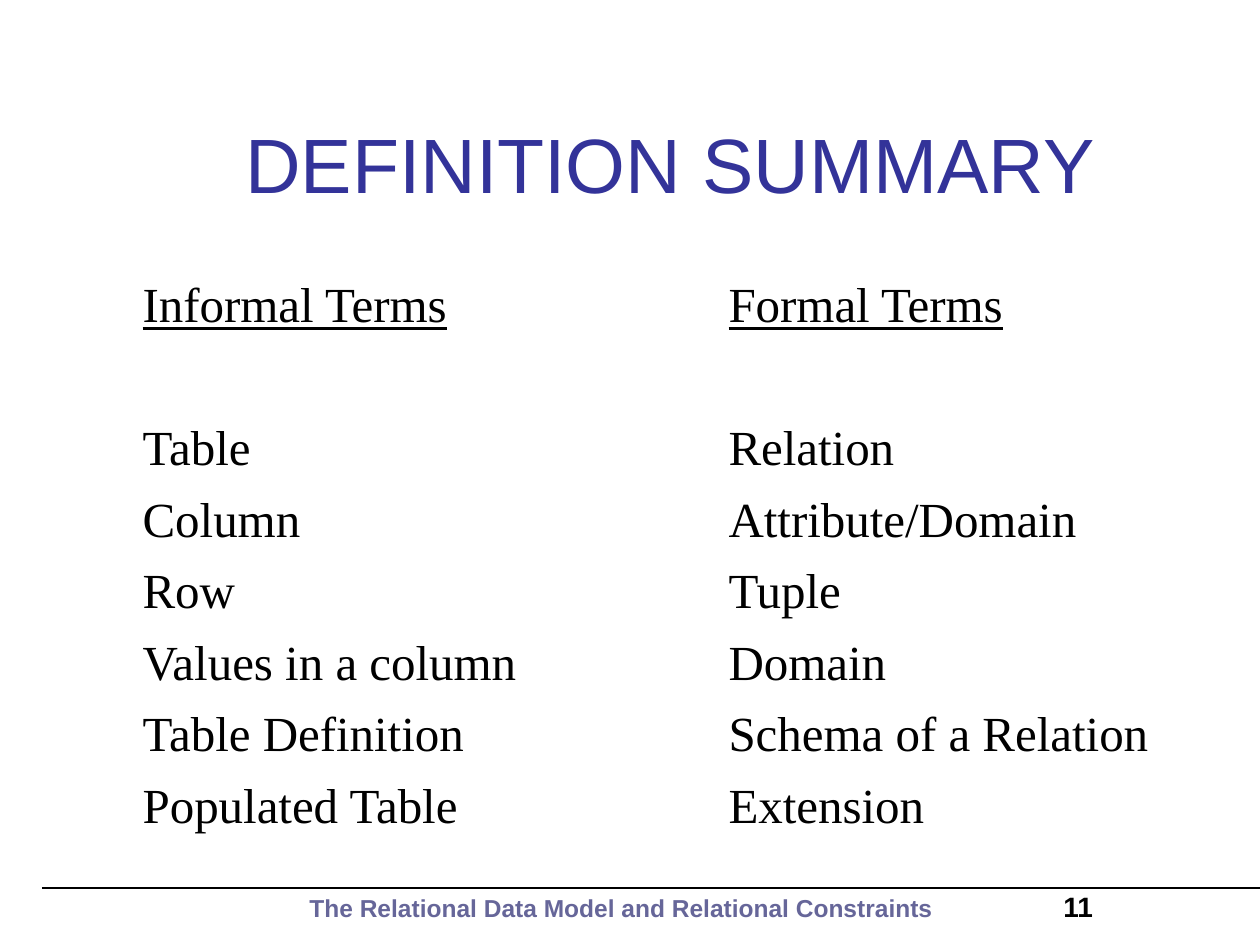
from lxml import etree
from pptx import Presentation
from pptx.dml.color import RGBColor
from pptx.enum.shapes import MSO_CONNECTOR
from pptx.enum.text import MSO_ANCHOR as Anchor, PP_ALIGN as Align
from pptx.oxml.ns import qn
from pptx.util import Pt

EMU_PER_PX = 914400 // 126
SANS, SERIF = "Arial", "Times New Roman"
BLACK, WHITE, INDIGO, SLATE = "000000", "FFFFFF", "333399", "666699"

TERMS = [
    ("Informal Terms", "", "Formal Terms"),
    ("", "", ""),
    ("Table", "", "Relation"),
    ("Column", "", "Attribute/Domain"),
    ("Row", "", "Tuple"),
    ("Values in a column", "", "Domain"),
    ("Table Definition", "", "Schema of a Relation"),
    ("Populated Table", "", "Extension"),
]
COLUMN_WIDTHS = [442, 144, 450]


def px(value):
    return value * EMU_PER_PX


def color(hex_string):
    return RGBColor.from_string(hex_string)


def add_run(paragraph, text, size, font, hex_color, bold=False, underline=False):
    run = paragraph.add_run()
    run.text = text
    run.font.size = Pt(size)
    run.font.name = font
    run.font.bold = bold
    run.font.underline = underline
    run.font.color.rgb = color(hex_color)


def add_text_box(slide, left, top, width, height, anchor):
    box = slide.shapes.add_textbox(px(left), px(top), px(width), px(height))
    box.text_frame.word_wrap = True
    box.text_frame.vertical_anchor = anchor
    return box.text_frame.paragraphs[0]


def add_tab_stops(paragraph, positions):
    tab_list = etree.SubElement(paragraph._p.get_or_add_pPr(), qn("a:tabLst"))
    for position in positions:
        etree.SubElement(tab_list, qn("a:tab"), pos=str(px(position)), algn="l")


def add_rule(slide, left, right, y):
    rule = slide.shapes.add_connector(
        MSO_CONNECTOR.STRAIGHT, px(left), px(y), px(right), px(y))
    rule.line.color.rgb = color(BLACK)
    rule.line.width = Pt(0.75)
    etree.SubElement(rule._element.spPr, qn("a:effectLst"))


def set_borders(cell, outer_sides):
    properties = cell._tc.get_or_add_tcPr()
    for side in "LRTB":
        width = Pt(1.08 if side in outer_sides else 0.45)
        line = etree.SubElement(properties, qn(f"a:ln{side}"), w=str(width))
        fill = etree.SubElement(line, qn("a:solidFill"))
        etree.SubElement(fill, qn("a:srgbClr"), val=WHITE)


def add_terms_table(slide, left, top, height):
    frame = slide.shapes.add_table(
        len(TERMS), len(COLUMN_WIDTHS), px(left), px(top),
        px(sum(COLUMN_WIDTHS)), px(height))
    table = frame.table
    table.first_row = table.horz_banding = False
    for column, width in zip(table.columns, COLUMN_WIDTHS):
        column.width = px(width)

    last_row, last_column = len(TERMS) - 1, len(COLUMN_WIDTHS) - 1
    for row, terms in enumerate(TERMS):
        for column, term in enumerate(terms):
            cell = table.cell(row, column)
            edges = {"L": column == 0, "R": column == last_column,
                     "T": row == 0, "B": row == last_row}
            set_borders(cell, [side for side, outer in edges.items() if outer])
            cell.fill.background()
            if term:
                add_run(cell.text_frame.paragraphs[0], term, 28, SERIF, BLACK,
                        underline=row == 0)


def main():
    presentation = Presentation()
    presentation.slide_width = px(1260)
    presentation.slide_height = px(945)
    slide = presentation.slides.add_slide(presentation.slide_layouts[6])

    # Footer: chapter title and slide number on tab stops, under a rule
    footer = add_text_box(slide, 113, 866, 1045, 63, Anchor.BOTTOM)
    add_tab_stops(footer, [184, 938])
    add_run(footer, "\tThe Relational Data Model and Relational Constraints\t",
            14, SANS, SLATE, bold=True)
    add_run(footer, "11", 16, SANS, BLACK, bold=True)
    add_rule(slide, 42, 1262, 888)

    # Title
    title = add_text_box(slide, 176, 84, 989, 158, Anchor.MIDDLE)
    title.alignment = Align.CENTER
    add_run(title, "DEFINITION SUMMARY", 44, SANS, INDIGO)

    # Informal and formal terms
    add_terms_table(slide, 130, 273, 571)

    presentation.save("out.pptx")


if __name__ == "__main__":
    main()
